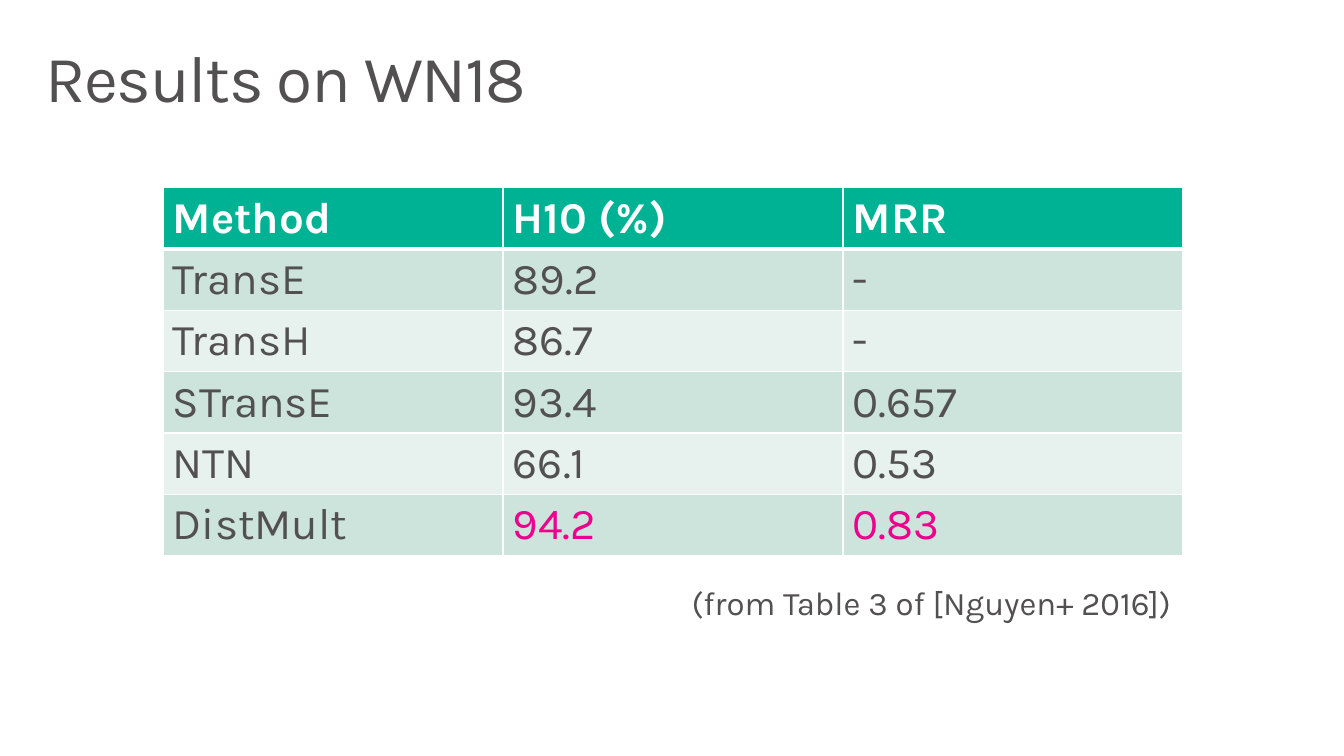
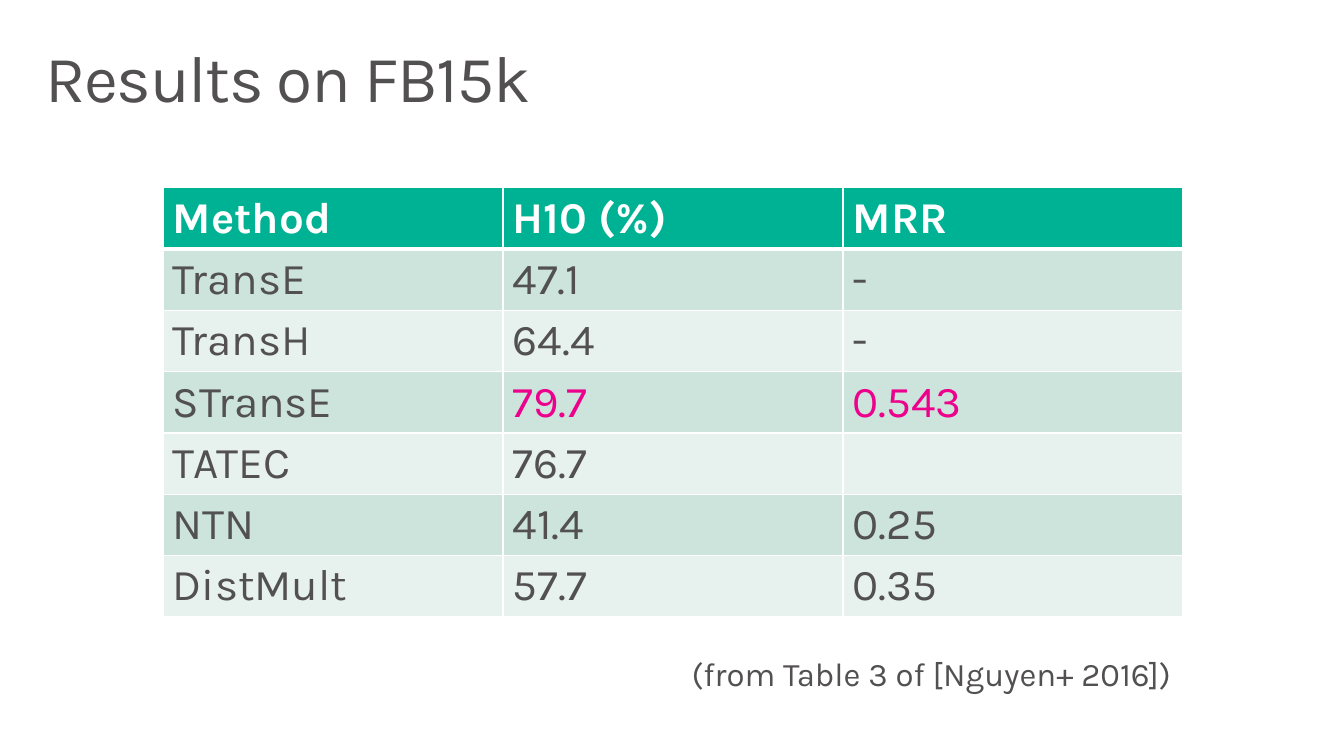
from dataclasses import dataclass

from lxml.etree import SubElement
from pptx import Presentation
from pptx.dml.color import RGBColor
from pptx.enum.text import MSO_ANCHOR, MSO_AUTO_SIZE, PP_ALIGN
from pptx.oxml.ns import qn
from pptx.slide import Slide
from pptx.table import _Cell
from pptx.text.text import TextFrame, _Paragraph
from pptx.util import Emu, Pt

PX = 9144  # 100 px to the inch


def px(length: int) -> Emu:
    return Emu(length * PX)


@dataclass(frozen=True)
class Theme:
    font: str = "Karla"
    ink: str = "525051"
    white: str = "FFFFFF"
    header: str = "00B294"
    bands: tuple[str, str] = ("CCE4DC", "E7F2EE")
    best: str = "EC008C"
    title_size: int = 48
    table_size: int = 32
    caption_size: int = 24
    rule: int = 1
    header_rule: int = 3


@dataclass(frozen=True)
class Box:
    left: int
    top: int
    width: int
    height: int


@dataclass(frozen=True)
class Results:
    title: str
    rows: tuple[tuple[str, str, str], ...]
    caption_top: int


THEME = Theme()
TITLE_BOX = Box(30, 32, 1300, 100)
TABLE_LEFT, TABLE_TOP = 165, 190
COLUMN_WIDTH, ROW_HEIGHT = 344, 62
HEADINGS = ("Method", "H10 (%)", "MRR")
CAPTION = "(from Table 3 of [Nguyen+ 2016])"

RESULTS = (
    Results("Results on WN18", (
        ("TransE", "89.2", "-"),
        ("TransH", "86.7", "-"),
        ("STransE", "93.4", "0.657"),
        ("NTN", "66.1", "0.53"),
        ("DistMult", "94.2", "0.83"),
    ), 578),
    Results("Results on FB15k", (
        ("TransE", "47.1", "-"),
        ("TransH", "64.4", "-"),
        ("STransE", "79.7", "0.543"),
        ("TATEC", "76.7", ""),
        ("NTN", "41.4", "0.25"),
        ("DistMult", "57.7", "0.35"),
    ), 650),
)


# Text
def add_span(para: _Paragraph, text: str, size: int, color: str,
             bold: bool = False, spacing: int = 0) -> None:
    span = para.add_run()
    span.text = text
    span.font.name = THEME.font
    span.font.size = Pt(size)
    span.font.bold = bold
    span.font.color.rgb = RGBColor.from_string(color)
    if spacing:
        span.font._element.set("spc", str(spacing))


def set_frame(frame: TextFrame, side: int, end: int, anchor: MSO_ANCHOR,
              auto_size: MSO_AUTO_SIZE) -> _Paragraph:
    frame.word_wrap = True
    frame.auto_size = auto_size
    frame.vertical_anchor = anchor
    frame.margin_left = frame.margin_right = px(side)
    frame.margin_top = frame.margin_bottom = px(end)
    para = frame.paragraphs[0]
    para.alignment = PP_ALIGN.LEFT
    para.line_spacing = 0.9
    return para


def add_title(page: Slide, text: str) -> None:
    title = page.shapes.title
    title.left, title.top = px(TITLE_BOX.left), px(TITLE_BOX.top)
    title.width, title.height = px(TITLE_BOX.width), px(TITLE_BOX.height)
    para = set_frame(title.text_frame, 16, 10, MSO_ANCHOR.MIDDLE, MSO_AUTO_SIZE.NONE)
    add_span(para, text, THEME.title_size, THEME.ink, spacing=-100)


def add_caption(page: Slide, top: int) -> None:
    box = page.shapes.add_textbox(px(680), px(top), px(553), px(69))
    para = set_frame(box.text_frame, 20, 16, MSO_ANCHOR.TOP,
                     MSO_AUTO_SIZE.SHAPE_TO_FIT_TEXT)
    para.space_after = Pt(6)
    add_span(para, CAPTION, THEME.caption_size, THEME.ink)


# Table
def set_borders(cell: _Cell, top: int, bottom: int) -> None:
    properties = cell._tc.get_or_add_tcPr()
    widths = {"lnL": THEME.rule, "lnR": THEME.rule, "lnT": top, "lnB": bottom}
    for side, width in widths.items():
        line = SubElement(properties, qn(f"a:{side}"), w=str(Pt(width)))
        fill = SubElement(line, qn("a:solidFill"))
        SubElement(fill, qn("a:srgbClr"), val=THEME.white)


def best_value(column: tuple[str, ...]) -> str:
    return max((value for value in column if value not in ("", "-")), key=float)


def add_results_table(page: Slide, rows: tuple[tuple[str, str, str], ...]) -> None:
    lines = (HEADINGS, *rows)
    frame = page.shapes.add_table(
        len(lines), len(HEADINGS), px(TABLE_LEFT), px(TABLE_TOP),
        px(COLUMN_WIDTH * len(HEADINGS)), px(ROW_HEIGHT * len(lines)))
    table = frame.table
    table.horz_banding = False
    best = ("", *(best_value(column) for column in tuple(zip(*rows))[1:]))

    for row, values in enumerate(lines):
        is_header = row == 0
        fill = THEME.header if is_header else THEME.bands[(row - 1) % 2]
        for column, value in enumerate(values):
            cell = table.cell(row, column)
            set_borders(cell,
                        THEME.header_rule if row == 1 else THEME.rule,
                        THEME.header_rule if is_header else THEME.rule)
            cell.fill.solid()
            cell.fill.fore_color.rgb = RGBColor.from_string(fill)
            if not value:
                continue
            color = THEME.best if value == best[column] else THEME.ink
            add_span(cell.text_frame.paragraphs[0], value, THEME.table_size,
                     THEME.white if is_header else color, bold=is_header)


# Deck
def main() -> None:
    deck = Presentation()
    deck.slide_width, deck.slide_height = px(1360), px(765)
    title_only = deck.slide_layouts[5]
    for results in RESULTS:
        page = deck.slides.add_slide(title_only)
        add_title(page, results.title)
        add_results_table(page, results.rows)
        add_caption(page, results.caption_top)
    deck.save("out.pptx")


if __name__ == "__main__":
    main()
